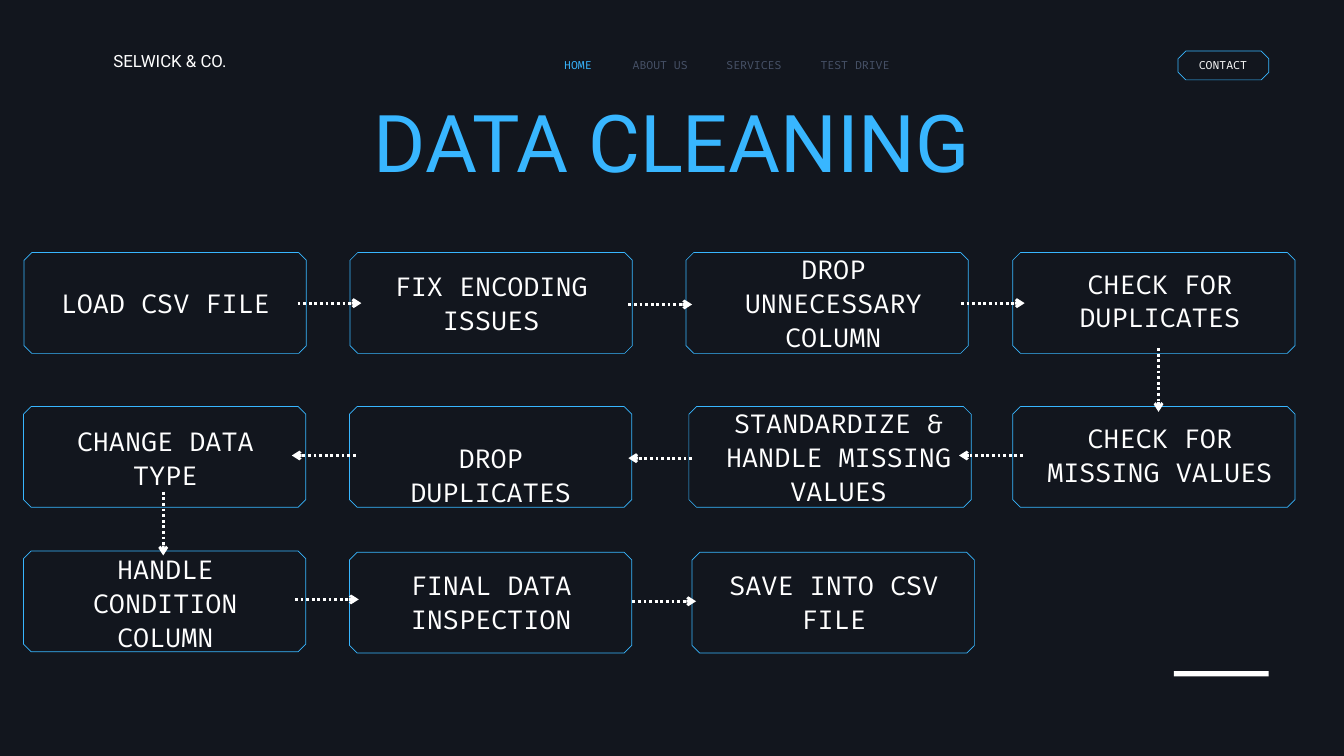
from lxml.etree import SubElement
from pptx import Presentation
from pptx.dml.color import RGBColor
from pptx.enum.dml import MSO_LINE
from pptx.enum.shapes import MSO_CONNECTOR, MSO_SHAPE
from pptx.enum.text import MSO_AUTO_SIZE, PP_ALIGN
from pptx.oxml.ns import qn
from pptx.util import Cm, Pt

NAVY = RGBColor(0x12, 0x16, 0x1E)
BLUE = RGBColor(0x38, 0xB6, 0xFF)
GREY = RGBColor(0x48, 0x53, 0x69)
WHITE = RGBColor(0xFF, 0xFF, 0xFF)

CUT = 0.29
BOX_W, BOX_H = 10.67, 3.81
LABEL_W, LABEL_LINE = 9.09, 1.26
ARROW = 2.41

TITLE = {"name": "Roboto", "size": Pt(85.4)}
BRAND = {"name": "Roboto", "size": Pt(18)}
MENU = {"name": "Fira Code", "size": Pt(12)}
STEP = {"name": "Fira Code", "size": Pt(28)}

prs = Presentation()
prs.slide_width, prs.slide_height = Cm(50.8), Cm(28.58)
s = prs.slides.add_slide(prs.slide_layouts[6])
s.background.fill.solid()
s.background.fill.fore_color.rgb = NAVY


def add_cut_box(x, y, w, h):
    """Draw an outlined box with its four corners cut off."""
    r, b = x + w, y + h
    points = [(r - CUT, y), (x + CUT, y), (x, y + CUT), (x, b - CUT),
              (x + CUT, b), (r - CUT, b), (r, b - CUT), (r, y + CUT)]
    points = [(Cm(px), Cm(py)) for px, py in points]
    builder = s.shapes.build_freeform(*points[0], scale=1.0)
    builder.add_line_segments(points[1:], close=True)
    sp = builder.convert_to_shape()
    sp.shadow.inherit = False
    sp.fill.solid()
    sp.fill.fore_color.rgb = NAVY
    sp.line.color.rgb = BLUE
    sp.line.width = Pt(0.75)


def add_text(text, x, y, w, h, style, color, spacing, align=PP_ALIGN.CENTER):
    tf = s.shapes.add_textbox(Cm(x), Cm(y), Cm(w), Cm(h)).text_frame
    tf.margin_left = tf.margin_right = tf.margin_top = tf.margin_bottom = 0
    tf.word_wrap = True
    tf.auto_size = MSO_AUTO_SIZE.SHAPE_TO_FIT_TEXT
    p = tf.paragraphs[0]
    p.alignment = align
    p.line_spacing = Pt(spacing)
    r = p.add_run()
    r.text = text
    for key, value in style.items():
        setattr(r.font, key, value)
    r.font.color.rgb = color


# Header, title and footer bar
add_text("SELWICK & CO.", 4.29, 2.21, 6.15, 0.64, BRAND, WHITE, 13.3, PP_ALIGN.LEFT)
add_text("DATA CLEANING", 14.12, 4.9, 33.81, 3.02, TITLE, BLUE, 63.2, PP_ALIGN.LEFT)
add_cut_box(44.53, 1.93, 3.43, 1.09)
menu = [
    ("HOME", 20.93, 1.83, BLUE),
    ("ABOUT US", 23.57, 2.77, GREY),
    ("SERVICES", 27.18, 2.64, GREY),
    ("TEST DRIVE", 30.63, 3.38, GREY),
    ("CONTACT", 44.98, 2.49, WHITE),
]
for text, x, w, color in menu:
    add_text(text, x, 2.18, w, 0.53, MENU, color, 15.6)

bar = s.shapes.add_shape(MSO_SHAPE.RECTANGLE, Cm(44.37), Cm(25.37), Cm(3.58), Cm(0.2))
bar.shadow.inherit = False
bar.fill.solid()
bar.fill.fore_color.rgb = WHITE
bar.line.fill.background()

# Steps: text, box left and top, label left and top, label lines
steps = [
    ("LOAD CSV FILE", 0.91, 9.55, 1.7, 10.77, 1),
    ("FIX ENCODING ISSUES", 13.23, 9.55, 14.02, 10.13, 2),
    ("DROP UNNECESSARY COLUMN", 25.93, 9.55, 26.95, 9.5, 3),
    ("CHECK FOR DUPLICATES", 38.28, 9.55, 39.29, 10.03, 2),
    ("CHECK FOR MISSING VALUES", 38.28, 15.37, 39.29, 15.88, 2),
    ("STANDARDIZE & HANDLE MISSING VALUES", 26.04, 15.37, 27.15, 15.32, 3),
    ("DROP DUPLICATES", 13.21, 15.37, 14, 16.61, 1),
    ("CHANGE DATA TYPE", 0.89, 15.37, 1.7, 15.98, 2),
    ("HANDLE CONDITION COLUMN", 0.89, 20.83, 1.7, 20.83, 3),
    ("FINAL DATA INSPECTION", 13.21, 20.88, 14.02, 21.44, 2),
    ("SAVE INTO CSV FILE", 26.16, 20.88, 26.97, 21.44, 2),
]
for text, x, y, label_x, label_y, lines in steps:
    add_cut_box(x, y, BOX_W, BOX_H)
    add_text(text, label_x, label_y, LABEL_W, lines * LABEL_LINE, STEP, WHITE, 36.4)

# Arrows: start point and direction
RIGHT, LEFT, DOWN = (1, 0), (-1, 0), (0, 1)
arrows = [
    (11.25, 11.46, RIGHT), (23.75, 11.51, RIGHT), (36.32, 11.46, RIGHT),
    (43.79, 13.16, DOWN),
    (38.66, 17.22, LEFT), (26.16, 17.32, LEFT), (13.44, 17.22, LEFT),
    (6.17, 18.59, DOWN),
    (11.15, 22.66, RIGHT), (23.9, 22.73, RIGHT),
]
for x, y, (dx, dy) in arrows:
    arrow = s.shapes.add_connector(MSO_CONNECTOR.STRAIGHT, Cm(x), Cm(y),
                                   Cm(x + dx * ARROW), Cm(y + dy * ARROW))
    arrow.line.color.rgb = WHITE
    arrow.line.width = Pt(3)
    arrow.line.dash_style = MSO_LINE.ROUND_DOT
    sp_pr = arrow.line._get_or_add_ln().getparent()
    SubElement(sp_pr.find(qn("a:ln")), qn("a:tailEnd"), type="arrow")
    SubElement(sp_pr, qn("a:effectLst"))

prs.save("out.pptx")
